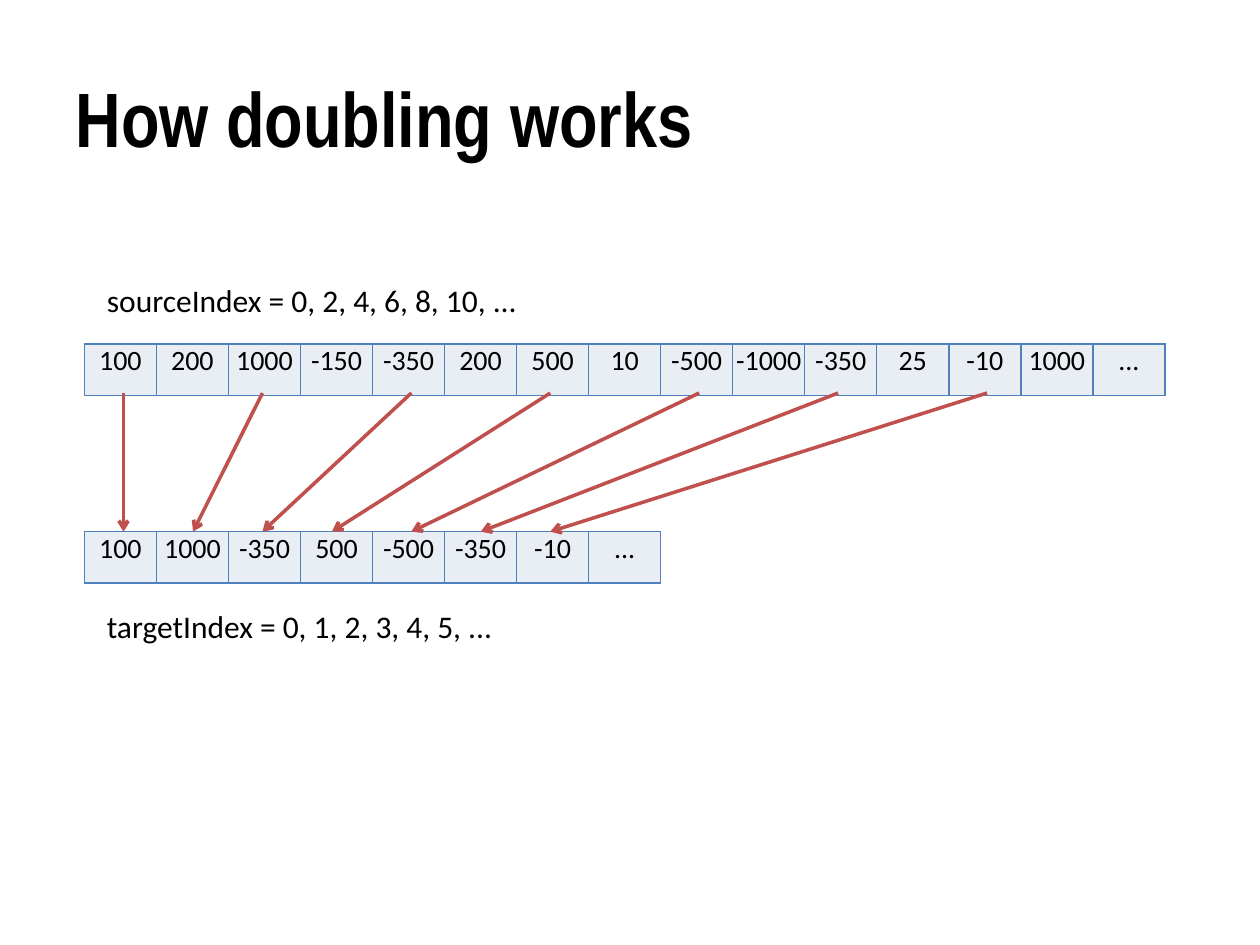
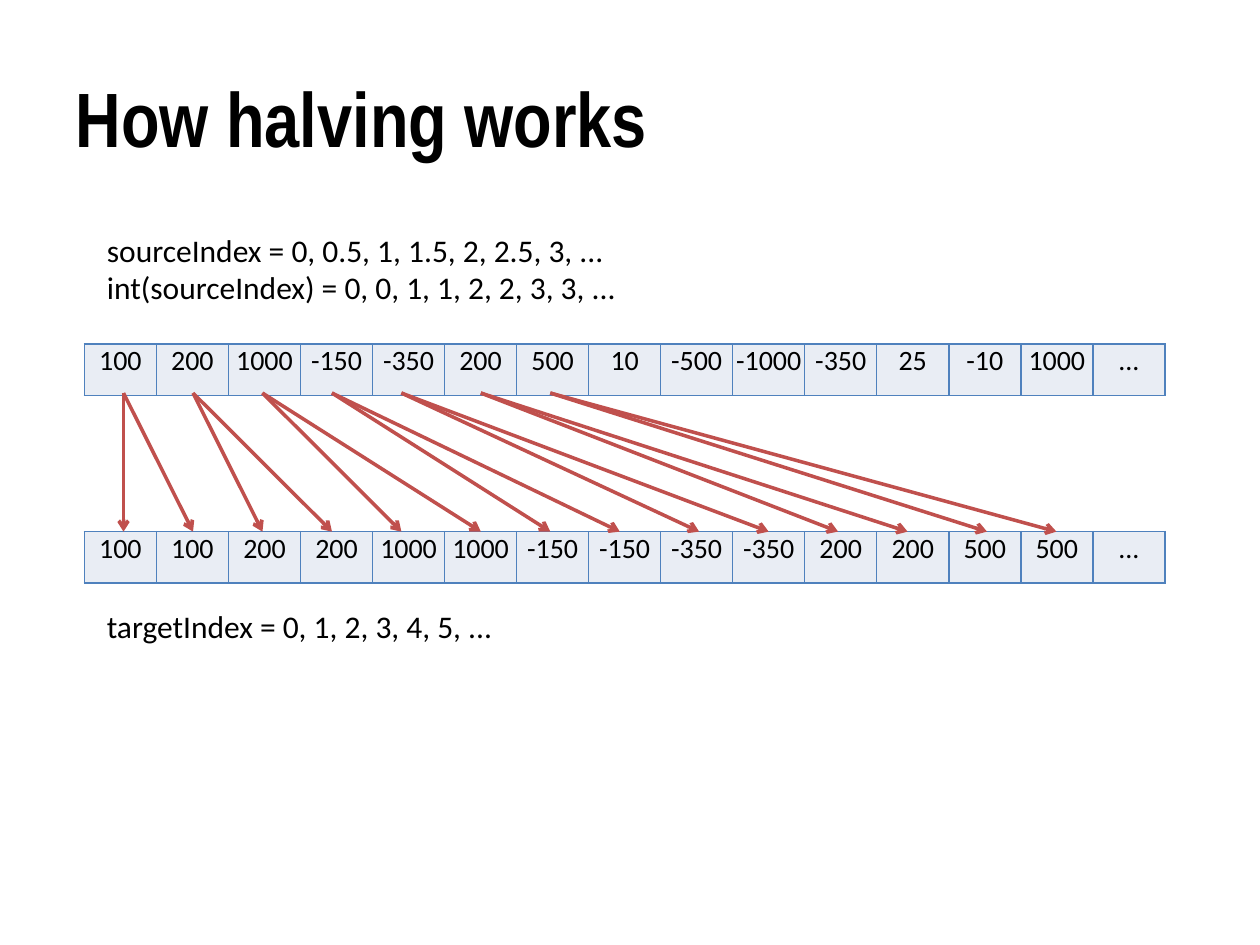
"""Build two slides that show how sampling every second or every half index works."""
from lxml.etree import SubElement
from pptx import Presentation
from pptx.dml.color import RGBColor
from pptx.enum.shapes import MSO_CONNECTOR
from pptx.enum.text import MSO_ANCHOR, MSO_AUTO_SIZE, PP_ALIGN
from pptx.oxml.ns import qn
from pptx.util import Pt

BLACK, CELL_FILL, CELL_BORDER, ARROW = "000000", "E9EDF4", "4F81BD", "C0504D"
ROW_LEFT, CELL_WIDTH, CELL_HEIGHT = 48.24, 41.18, 29.5
SOURCE_TOP, TARGET_TOP = 196.6, 303.8
ARROW_TOP = 224.6
ARROW_LEFT, ARROW_STEP, ARROW_SHIFT = 70.6, 39.7, 5.67


def color(hex_string):
    return RGBColor.from_string(hex_string)


def write(frame, text, size=18, font="Calibri", bold=False, align=PP_ALIGN.LEFT):
    frame.text = text
    for paragraph in frame.paragraphs:
        paragraph.alignment = align
        paragraph.font.size = Pt(size)
        paragraph.font.name = font
        paragraph.font.bold = bold
        paragraph.font.color.rgb = color(BLACK)


source = ["100", "200", "1000", "-150", "-350", "200", "500", "10",
          "-500", "-1000", "-350", "25", "-10", "1000", "..."]
target_note = ("targetIndex = 0, 1, 2, 3, 4, 5, ...", 343.4, 237.6, 28.8)
lessons = [
    {
        "title": "How doubling works",
        "links": [(2 * target, target) for target in range(7)],
        "shifts": (4, 8, 12),
        "source_note": ("sourceIndex = 0, 2, 4, 6, 8, 10, ...", 157, 252, 28.8),
    },
    {
        "title": "How halving works",
        "links": [(target // 2, target) for target in range(14)],
        "shifts": (5, 8, 12),
        "source_note": ("sourceIndex = 0, 0.5, 1, 1.5, 2, 2.5, 3, ...\n"
                        "int(sourceIndex) = 0, 0, 1, 1, 2, 2, 3, 3, ...", 128.2, 308.9, 51.1),
    },
]

presentation = Presentation()
presentation.slide_width, presentation.slide_height = Pt(720), Pt(540)

for lesson in lessons:
    slide = presentation.slides.add_slide(presentation.slide_layouts[5])
    title = slide.shapes.title
    title.left, title.top, title.width, title.height = Pt(36), Pt(21.6), Pt(648), Pt(90)
    write(title.text_frame, lesson["title"], size=44, font="Arial Narrow", bold=True)
    title.text_frame.vertical_anchor = MSO_ANCHOR.MIDDLE
    title.text_frame.auto_size = MSO_AUTO_SIZE.NONE

    target = [source[source_index] for source_index, _ in lesson["links"]] + ["..."]
    for values, top in ((source, SOURCE_TOP), (target, TARGET_TOP)):
        samples = slide.shapes.add_table(
            1, len(values), Pt(ROW_LEFT), Pt(top),
            Pt(CELL_WIDTH * len(values)), Pt(CELL_HEIGHT)).table
        samples.first_row = samples.horz_banding = False
        for column, value in enumerate(values):
            samples.columns[column].width = Pt(CELL_WIDTH)
            cell = samples.cell(0, column)
            cell.margin_left = cell.margin_right = cell.margin_top = cell.margin_bottom = 0
            write(cell.text_frame, value, size=16, align=PP_ALIGN.CENTER)
            for side in ("a:lnL", "a:lnR", "a:lnT", "a:lnB"):
                border = SubElement(cell._tc.get_or_add_tcPr(), qn(side), w=str(Pt(1)))
                border_fill = SubElement(border, qn("a:solidFill"))
                SubElement(border_fill, qn("a:srgbClr"), val=CELL_BORDER)
            cell.fill.solid()
            cell.fill.fore_color.rgb = color(CELL_FILL)

    for link in lesson["links"]:
        start, end = [
            ARROW_LEFT + ARROW_STEP * index
            + ARROW_SHIFT * sum(index >= shift for shift in lesson["shifts"])
            for index in link]
        arrow = slide.shapes.add_connector(
            MSO_CONNECTOR.STRAIGHT, Pt(start), Pt(ARROW_TOP), Pt(end), Pt(TARGET_TOP))
        arrow.line.color.rgb = color(ARROW)
        arrow.line.width = Pt(2)
        SubElement(arrow.line._get_or_add_ln(), qn("a:tailEnd"), type="arrow")
        SubElement(arrow._element.spPr, qn("a:effectLst"))

    for text, top, width, height in (lesson["source_note"], target_note):
        note = slide.shapes.add_textbox(Pt(54), Pt(top), Pt(width), Pt(height)).text_frame
        note.word_wrap = False
        note.auto_size = MSO_AUTO_SIZE.SHAPE_TO_FIT_TEXT
        write(note, text)

presentation.save("out.pptx")
